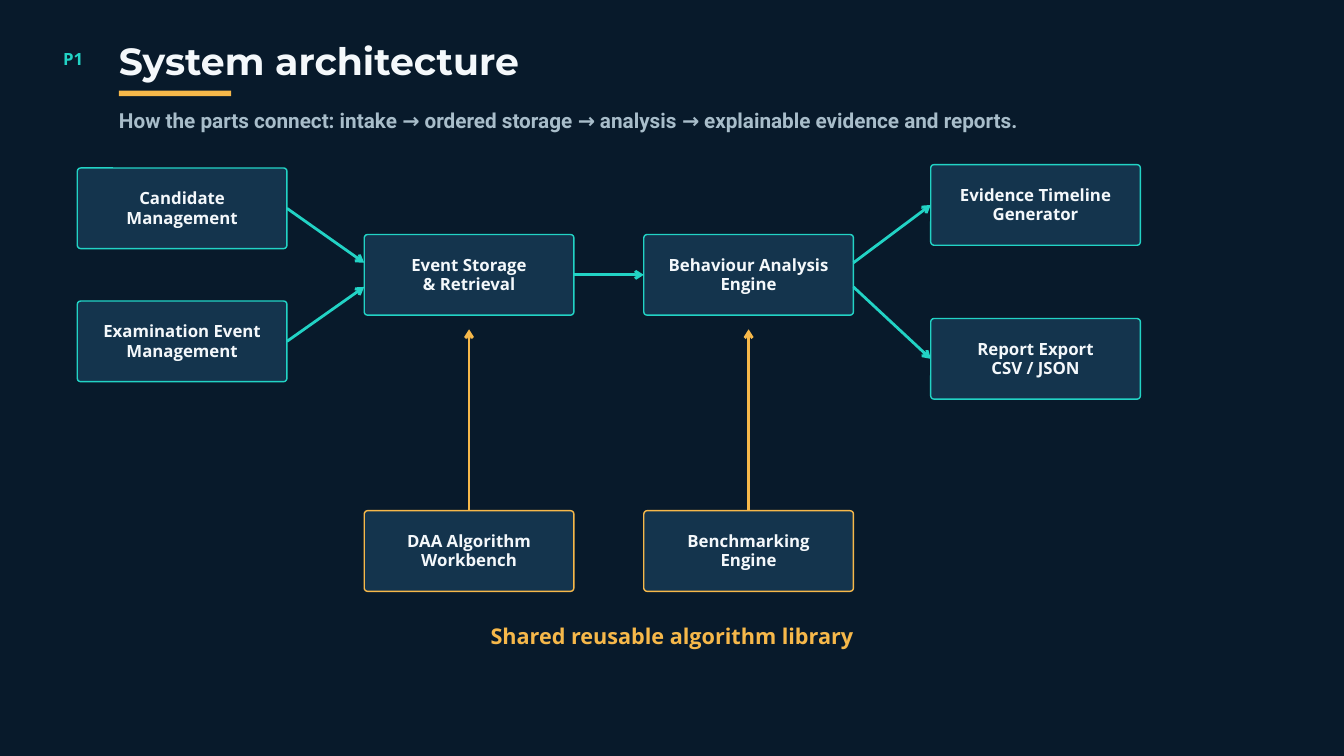
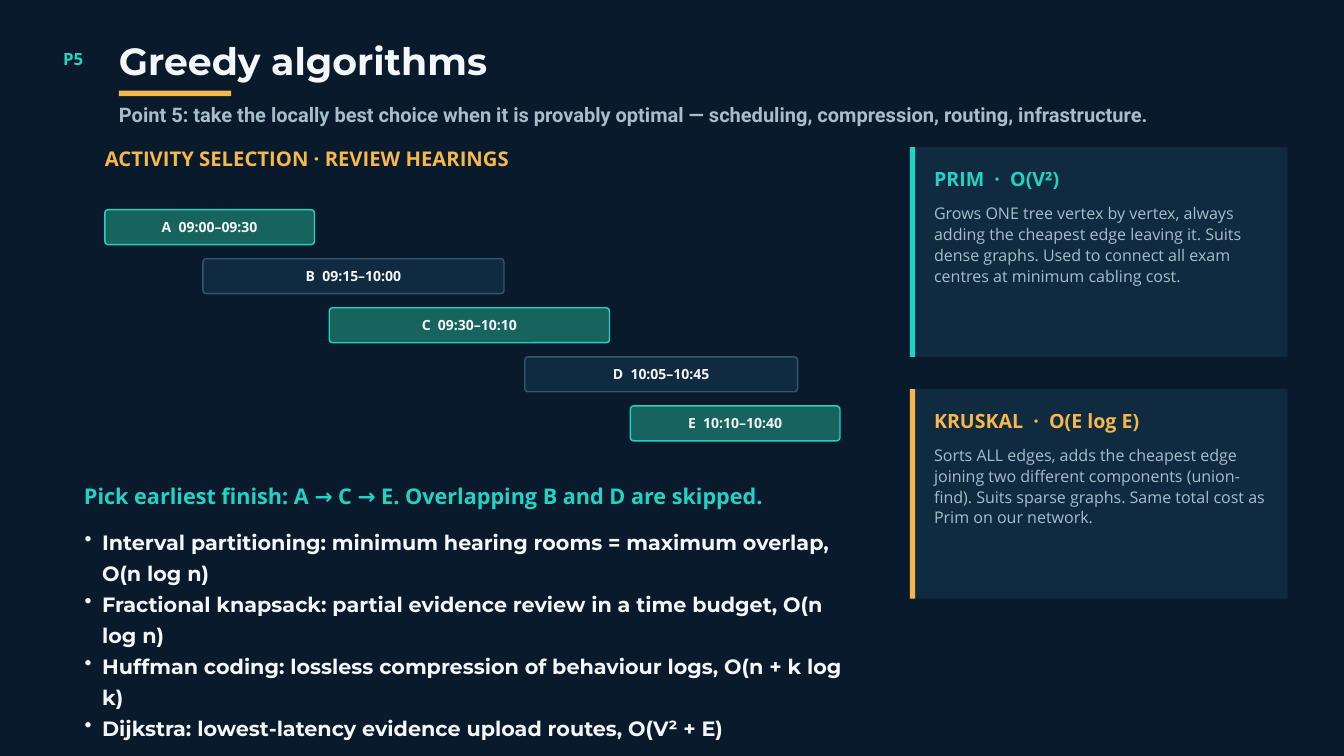
from lxml import etree
from pptx import Presentation
from pptx.dml.color import RGBColor
from pptx.enum.shapes import MSO_CONNECTOR as Connector, MSO_SHAPE as Shape
from pptx.enum.text import MSO_ANCHOR as Anchor, PP_ALIGN as Align
from pptx.oxml.ns import qn
from pptx.util import Inches, Pt

COLORS = {
    "night": "081A2B", "panel": "102A40", "node": "14344D", "edge": "35566D",
    "picked": "17645F", "teal": "22D3C5", "amber": "F6B84A",
    "white": "F4F8FB", "muted": "A8BDCA",
}
TITLE_FONT, BODY_FONT, LEAD_FONT = "Montserrat", "Open Sans", "Roboto"
TITLE_LEFT = 1.77
TOP, LEFT, RIGHT = 0, 1, 3

NODE_WIDTH, NODE_HEIGHT = 3.12, 1.2
NODES = {
    "candidate": (1.15, 2.5, "teal", ["Candidate", "Management"]),
    "examination": (1.15, 4.48, "teal", ["Examination Event", "Management"]),
    "storage": (5.42, 3.49, "teal", ["Event Storage", "& Retrieval"]),
    "behaviour": (9.58, 3.49, "teal", ["Behaviour Analysis", "Engine"]),
    "timeline": (13.85, 2.45, "teal", ["Evidence Timeline", "Generator"]),
    "report": (13.85, 4.74, "teal", ["Report Export", "CSV / JSON"]),
    "workbench": (5.42, 7.6, "amber", ["DAA Algorithm", "Workbench"]),
    "benchmark": (9.58, 7.6, "amber", ["Benchmarking", "Engine"]),
}
PORT_SHIFT = 0.18
FLOWS = [
    ("candidate", 0, "storage", -PORT_SHIFT),
    ("examination", 0, "storage", PORT_SHIFT),
    ("storage", 0, "behaviour", 0),
    ("behaviour", -PORT_SHIFT, "timeline", 0),
    ("behaviour", PORT_SHIFT, "report", 0),
]
LIBRARY_NODES = ["workbench", "benchmark"]
LIBRARY_ARROW_END = 4.9

HEARINGS = [
    ("A  09:00–09:30", 1.56, 3.12, True),
    ("B  09:15–10:00", 3.02, 4.48, False),
    ("C  09:30–10:10", 4.9, 4.17, True),
    ("D  10:05–10:45", 7.81, 4.06, False),
    ("E  10:10–10:40", 9.38, 3.12, True),
]
HEARING_TOP, HEARING_STEP, HEARING_HEIGHT = 3.12, 0.73, 0.52
GREEDY_USES = [
    "Interval partitioning: minimum hearing rooms = maximum overlap, O(n log n)",
    "Fractional knapsack: partial evidence review in a time budget, O(n log n)",
    "Huffman coding: lossless compression of behaviour logs, O(n + k log k)",
    "Dijkstra: lowest-latency evidence upload routes, O(V² + E)",
]
TREE_CARDS = [
    ("PRIM  ·  O(V²)", "teal",
     "Grows ONE tree vertex by vertex, always adding the cheapest edge leaving it. "
     "Suits dense graphs. Used to connect all exam centres at minimum cabling cost."),
    ("KRUSKAL  ·  O(E log E)", "amber",
     "Sorts ALL edges, adds the cheapest edge joining two different components "
     "(union-find). Suits sparse graphs. Same total cost as Prim on our network."),
]
CARD_LEFT, CARD_TOP, CARD_STEP = 13.54, 2.19, 3.6
CARD_WIDTH, CARD_HEIGHT = 5.62, 3.12


def rgb(name):
    return RGBColor.from_string(COLORS[name])


def add_bullet(para):
    props = para._p.get_or_add_pPr()
    props.set("marL", str(Inches(0.52)))
    props.set("indent", str(Inches(-0.26)))
    etree.SubElement(props, qn("a:buChar")).set("char", "•")


def write(frame, lines, size, spacing, color="white", font=BODY_FONT, bold=True,
          align=Align.LEFT, inset=0, bullets=False):
    frame.word_wrap = True
    frame.margin_left = frame.margin_right = Inches(inset)
    frame.margin_top = frame.margin_bottom = Inches(inset)
    for index, line in enumerate(lines):
        para = frame.add_paragraph() if index else frame.paragraphs[0]
        para.text = line
        para.alignment = align
        para.line_spacing = Pt(spacing)
        if bullets:
            add_bullet(para)
        para.font.name, para.font.size, para.font.bold = font, Pt(size), bold
        para.font.color.rgb = rgb(color)


def add_text(page, area, lines, size, spacing, **style):
    box = page.shapes.add_textbox(*map(Inches, area))
    write(box.text_frame, lines, size, spacing, **style)


def add_block(page, area, fill, line=None, kind=Shape.RECTANGLE):
    block = page.shapes.add_shape(kind, *map(Inches, area))
    block.shadow.inherit = False
    block.fill.solid()
    block.fill.fore_color.rgb = rgb(fill)
    if line:
        block.line.color.rgb = rgb(line)
        block.line.width = Pt(1.5)
    else:
        block.line.fill.background()
    return block


def add_label_box(page, area, fill, line, lines, size, spacing):
    box = add_block(page, area, fill, line, Shape.ROUNDED_RECTANGLE)
    box.adjustments[0] = 0.05 / area[3]
    box.text_frame.vertical_anchor = Anchor.MIDDLE
    write(box.text_frame, lines, size, spacing, align=Align.CENTER, inset=0.06)
    return box


def add_arrow(page, start, end, color):
    arrow = page.shapes.add_connector(Connector.STRAIGHT, *map(Inches, start + end))
    arrow.line.color.rgb = rgb(color)
    arrow.line.width = Pt(3)
    etree.SubElement(arrow.line._get_or_add_ln(), qn("a:tailEnd")).set("type", "arrow")
    etree.SubElement(arrow._element.spPr, qn("a:effectLst"))
    return arrow


def add_page(deck, tag, title, lead, lead_top, lead_size, lead_spacing):
    page = deck.slides.add_slide(deck.slide_layouts[6])
    page.background.fill.solid()
    page.background.fill.fore_color.rgb = rgb("night")
    add_text(page, (0.94, 0.7, 0.73, 0.31), [tag], 18, 23.4, color="teal")
    add_text(page, (TITLE_LEFT, 0.64, 16.67, 0.59), [title], 40.5, 42.5, font=TITLE_FONT)
    add_block(page, (TITLE_LEFT, 1.35, 1.67, 0.08), "amber")
    add_text(page, (TITLE_LEFT, lead_top, 16.67, 0.38), [lead], lead_size, lead_spacing,
             color="muted", font=LEAD_FONT)
    return page


def build_architecture(deck):
    page = add_page(
        deck, "P1", "System architecture",
        "How the parts connect: intake → ordered storage → analysis → "
        "explainable evidence and reports.", 1.6, 22.2, 26.7)
    boxes = {
        name: add_label_box(page, (left, top, NODE_WIDTH, NODE_HEIGHT),
                            "node", line, lines, 18, 20.7)
        for name, (left, top, line, lines) in NODES.items()
    }
    for source, source_shift, target, target_shift in FLOWS:
        source_left, source_top = NODES[source][:2]
        target_left, target_top = NODES[target][:2]
        start = (source_left + NODE_WIDTH, source_top + NODE_HEIGHT / 2 + source_shift)
        end = (target_left, target_top + NODE_HEIGHT / 2 + target_shift)
        arrow = add_arrow(page, start, end, "teal")
        if not source_shift:
            arrow.begin_connect(boxes[source], RIGHT)
        if not target_shift:
            arrow.end_connect(boxes[target], LEFT)
    for name in LIBRARY_NODES:
        left, top = NODES[name][:2]
        middle = left + NODE_WIDTH / 2
        arrow = add_arrow(page, (middle, top), (middle, LIBRARY_ARROW_END), "amber")
        arrow.begin_connect(boxes[name], TOP)
    add_text(page, (6.77, 9.24, 6.46, 0.42), ["Shared reusable algorithm library"],
             23.2, 30.2, color="amber", align=Align.CENTER)


def build_greedy(deck):
    page = add_page(
        deck, "P5", "Greedy algorithms",
        "Point 5: take the locally best choice when it is provably optimal — "
        "scheduling, compression, routing, infrastructure.", 1.53, 21.5, 25.8)
    add_text(page, (1.56, 2.15, 9.38, 0.38), ["ACTIVITY SELECTION · REVIEW HEARINGS"],
             21.7, 28.3, color="amber")
    for row, (label, left, width, picked) in enumerate(HEARINGS):
        fill, line = ("picked", "teal") if picked else ("panel", "edge")
        area = (left, HEARING_TOP + row * HEARING_STEP, width, HEARING_HEIGHT)
        add_label_box(page, area, fill, line, [label], 15, 17.2)
    add_text(page, (1.25, 7.16, 11.46, 0.42),
             ["Pick earliest finish: A → C → E. Overlapping B and D are skipped."],
             23.2, 30.2, color="teal")
    for row, (heading, accent, body) in enumerate(TREE_CARDS):
        top = CARD_TOP + row * CARD_STEP
        text_left, text_width = CARD_LEFT + 0.36, 4.96
        add_block(page, (CARD_LEFT, top, CARD_WIDTH, CARD_HEIGHT), "panel")
        add_block(page, (CARD_LEFT, top, 0.08, CARD_HEIGHT), accent)
        add_text(page, (text_left, top + 0.27, text_width, 0.36), [heading],
                 21, 27.3, color=accent)
        add_text(page, (text_left, top + 0.81, text_width, 1.19), [body],
                 17.2, 22.4, color="muted", bold=False)
    add_text(page, (1, 7.79, 11.8, 3.19), GREEDY_USES, 22.2, 33.2,
             font=TITLE_FONT, bullets=True)


def main():
    deck = Presentation()
    deck.slide_width, deck.slide_height = Inches(20), Inches(11.25)
    build_architecture(deck)
    build_greedy(deck)
    deck.save("out.pptx")


if __name__ == "__main__":
    main()
